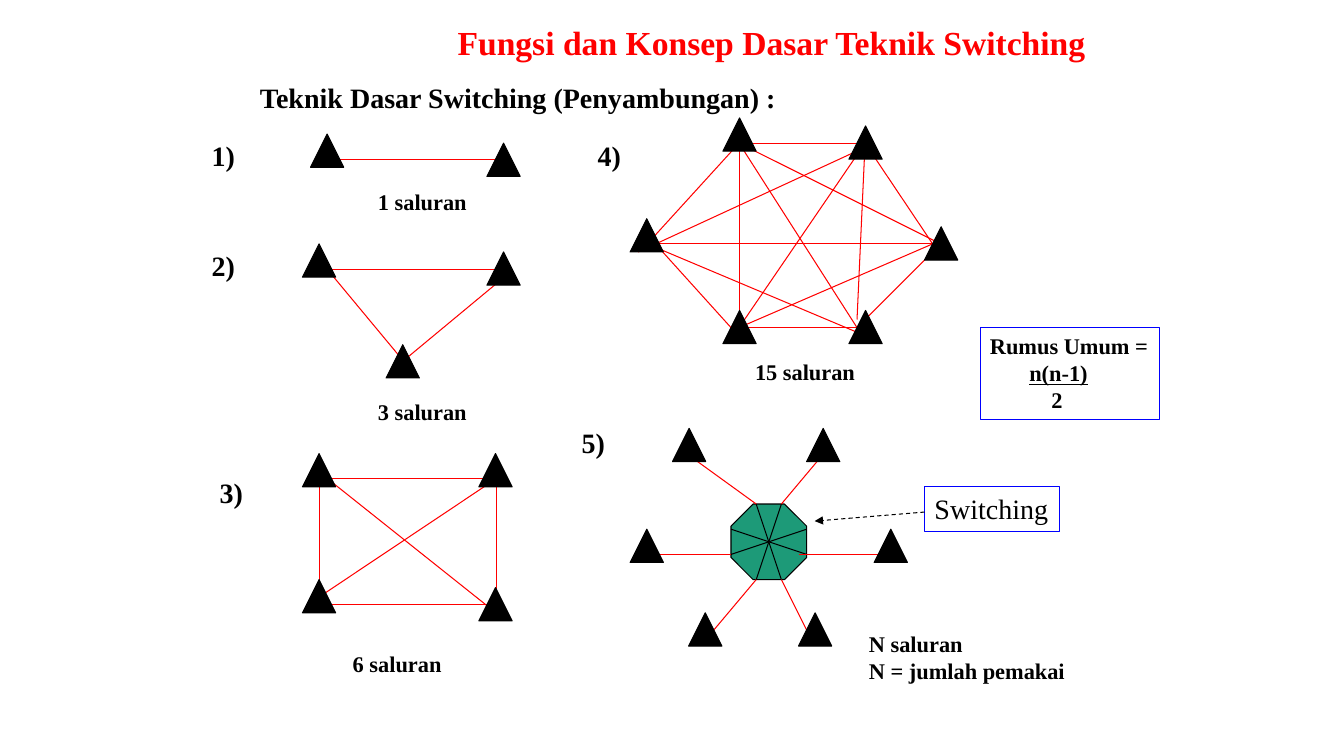
import pptx
import pptx.dml.color
import pptx.enum.dml
import pptx.enum.shapes
import pptx.enum.text
import pptx.oxml.ns
import pptx.util
from lxml import etree

Inches = pptx.util.Inches
Pt = pptx.util.Pt
RGBColor = pptx.dml.color.RGBColor
MSO_SHAPE = pptx.enum.shapes.MSO_SHAPE
qn = pptx.oxml.ns.qn

RED = RGBColor(0xFF, 0x00, 0x00)
BLACK = RGBColor(0x00, 0x00, 0x00)
WHITE = RGBColor(0xFF, 0xFF, 0xFF)
BLUE = RGBColor(0x00, 0x00, 0xFF)
GREEN = RGBColor(0x1D, 0x9A, 0x78)

NODE = 0.33

# Each network: number, its place, node corners, and channels as (x1, y1, x2, y2)
NETWORKS = [
    ("1)", (2, 1.33),
     [(3.08, 1.33), (4.83, 1.42)],
     [(3.33, 1.58, 4.92, 1.58)]),
    ("2)", (2, 2.42),
     [(3, 2.42), (4.83, 2.5), (3.83, 3.42)],
     [(3.17, 2.58, 4, 3.58), (3.17, 2.67, 5, 2.67), (4, 3.58, 5, 2.75)]),
    ("3)", (2.08, 4.67),
     [(3, 4.5), (4.75, 4.5), (3, 5.75), (4.75, 5.83)],
     [(3.25, 4.75, 4.92, 4.75), (3.25, 4.75, 4.92, 6.08),
      (3.17, 4.75, 3.17, 5.92), (4.92, 4.75, 3.17, 5.92),
      (4.92, 4.75, 4.92, 6), (3.17, 6, 4.92, 6)]),
    ("4)", (5.83, 1.33),
     [(7.17, 1.17), (8.42, 1.25), (6.25, 2.17), (9.17, 2.25),
      (7.17, 3.08), (8.42, 3.08)],
     [(6.42, 2.42, 9.33, 2.42), (7.33, 1.42, 8.67, 1.42),
      (7.33, 3.25, 8.58, 3.25), (7.33, 1.42, 9.33, 2.42),
      (6.33, 2.5, 8.67, 1.42), (7.33, 3.25, 9.25, 2.42),
      (6.42, 2.42, 8.58, 3.33), (7.33, 3.25, 8.58, 1.42),
      (7.33, 1.42, 8.5, 3.25), (8.58, 1.42, 8.5, 3.17),
      (7.33, 1.33, 7.33, 3.17), (6.42, 2.42, 7.33, 1.42),
      (6.42, 2.33, 7.25, 3.25), (9.25, 2.42, 8.58, 1.42),
      (8.5, 3.25, 9.25, 2.5)]),
    ("5)", (5.67, 4.17),
     [(6.67, 4.25), (8, 4.25), (6.25, 5.25), (8.67, 5.25),
      (6.83, 6.08), (7.92, 6.08)],
     [(7.92, 5.5, 8.75, 5.5), (7.75, 5.75, 8, 6.25),
      (7.5, 5, 6.92, 4.58), (7.75, 5, 8.17, 4.5),
      (7.25, 5.5, 6.5, 5.5), (7.5, 5.75, 7.08, 6.25)]),
]

HUB_DIAGONALS = [(7.5, 5, 7.75, 5.75), (7.25, 5.25, 8, 5.5),
                 (7.5, 5.75, 7.75, 5), (7.25, 5.5, 8, 5.25)]

CAPTIONS = [("1 saluran", 3.65, 1.82, 1.09), ("3 saluran", 3.65, 3.9, 1.09),
            ("6 saluran", 3.4, 6.4, 1.09), ("15 saluran", 7.39, 3.5, 1.2)]


class Diagram:
    font = "Times New Roman"
    weight = Pt(0.75)

    def __init__(self, slide):
        self.shapes = slide.shapes

    def line(self, x1, y1, x2, y2, color=RED, arrow=False):
        sp = self.shapes.add_connector(
            pptx.enum.shapes.MSO_CONNECTOR.STRAIGHT,
            Inches(x1), Inches(y1), Inches(x2), Inches(y2))
        sp.line.color.rgb = color
        sp.line.width = self.weight
        if arrow:
            sp.line.dash_style = pptx.enum.dml.MSO_LINE.DASH
            ln = sp._element.spPr.find(qn("a:ln"))
            etree.SubElement(ln, qn("a:tailEnd"), type="triangle")
        etree.SubElement(sp._element.spPr, qn("a:effectLst"))

    def shape(self, kind, x, y, w, h, fill=None, line=None):
        sp = self.shapes.add_shape(kind, Inches(x), Inches(y), Inches(w), Inches(h))
        sp.shadow.inherit = False
        if fill is None:
            sp.fill.background()
        else:
            sp.fill.solid()
            sp.fill.fore_color.rgb = fill
        if line is None:
            sp.line.fill.background()
        else:
            sp.line.color.rgb = line
            sp.line.width = self.weight
        return sp

    def node(self, x, y):
        self.shape(MSO_SHAPE.ISOSCELES_TRIANGLE, x, y, NODE, NODE, BLACK, BLACK)

    def text(self, x, y, w, h, paragraphs, size, color=BLACK, bold=True):
        sp = self.shapes.add_textbox(Inches(x), Inches(y), Inches(w), Inches(h))
        self.set_text(sp, paragraphs, size, color, bold)

    def box(self, x, y, w, h, paragraphs, size, fill=None, line=None, bold=True):
        sp = self.shape(MSO_SHAPE.RECTANGLE, x, y, w, h, fill, line)
        self.set_text(sp, paragraphs, size, BLACK, bold)

    def set_text(self, sp, paragraphs, size, color, bold):
        """Fill a shape with paragraphs given as (text, indent, underline)."""
        tf = sp.text_frame
        tf.word_wrap = False
        tf.auto_size = pptx.enum.text.MSO_AUTO_SIZE.SHAPE_TO_FIT_TEXT
        tf.vertical_anchor = pptx.enum.text.MSO_ANCHOR.TOP
        for i, (text, indent, underline) in enumerate(paragraphs):
            p = tf.paragraphs[0] if i == 0 else tf.add_paragraph()
            p.alignment = pptx.enum.text.PP_ALIGN.LEFT
            if indent:
                p._p.get_or_add_pPr().set("marL", str(Inches(indent)))
            r = p.add_run()
            r.text = text
            r.font.name = self.font
            r.font.size = Pt(size)
            r.font.bold = bold
            r.font.underline = underline
            r.font.color.rgb = color


def plain(*texts):
    """Make paragraphs without indent or underline."""
    return [(text, 0, False) for text in texts]


def main():
    prs = pptx.Presentation()
    prs.slide_width = Inches(13.33)
    prs.slide_height = Inches(7.5)
    s = Diagram(prs.slides.add_slide(prs.slide_layouts[6]))

    s.text(4.11, 0.17, 6.81, 0.5,
           [("Fungsi dan Konsep Dasar Teknik Switching", 0.33, False)], 24, RED)
    s.text(2.48, 0.75, 5.34, 0.43,
           plain("Teknik Dasar Switching (Penyambungan) :"), 20)

    s.shape(MSO_SHAPE.OCTAGON, 7.25, 5, 0.75, 0.75, GREEN, BLACK)
    for diagonal in HUB_DIAGONALS:
        s.line(*diagonal, color=BLACK)

    for number, (x, y), nodes, channels in NETWORKS:
        for channel in channels:
            s.line(*channel)
        s.box(x, y, 0.43, 0.43, plain(number), 20, fill=WHITE)
        for node in nodes:
            s.node(*node)

    for caption, x, y, w in CAPTIONS:
        s.text(x, y, w, 0.37, plain(caption), 16)
    s.text(8.52, 6.2, 2.15, 0.64, plain("N saluran", "N = jumlah pemakai"), 16)

    s.box(9.72, 3.25, 1.78, 0.91,
          [("Rumus Umum =", 0, False), ("n(n-1)", 0.39, True), ("2", 0.61, False)],
          16, line=BLUE)
    s.box(9.17, 4.83, 1.34, 0.44, plain("Switching"), 20, line=BLUE, bold=False)
    s.line(9.17, 5.08, 8.08, 5.17, color=BLACK, arrow=True)

    prs.save("out.pptx")


if __name__ == "__main__":
    main()
